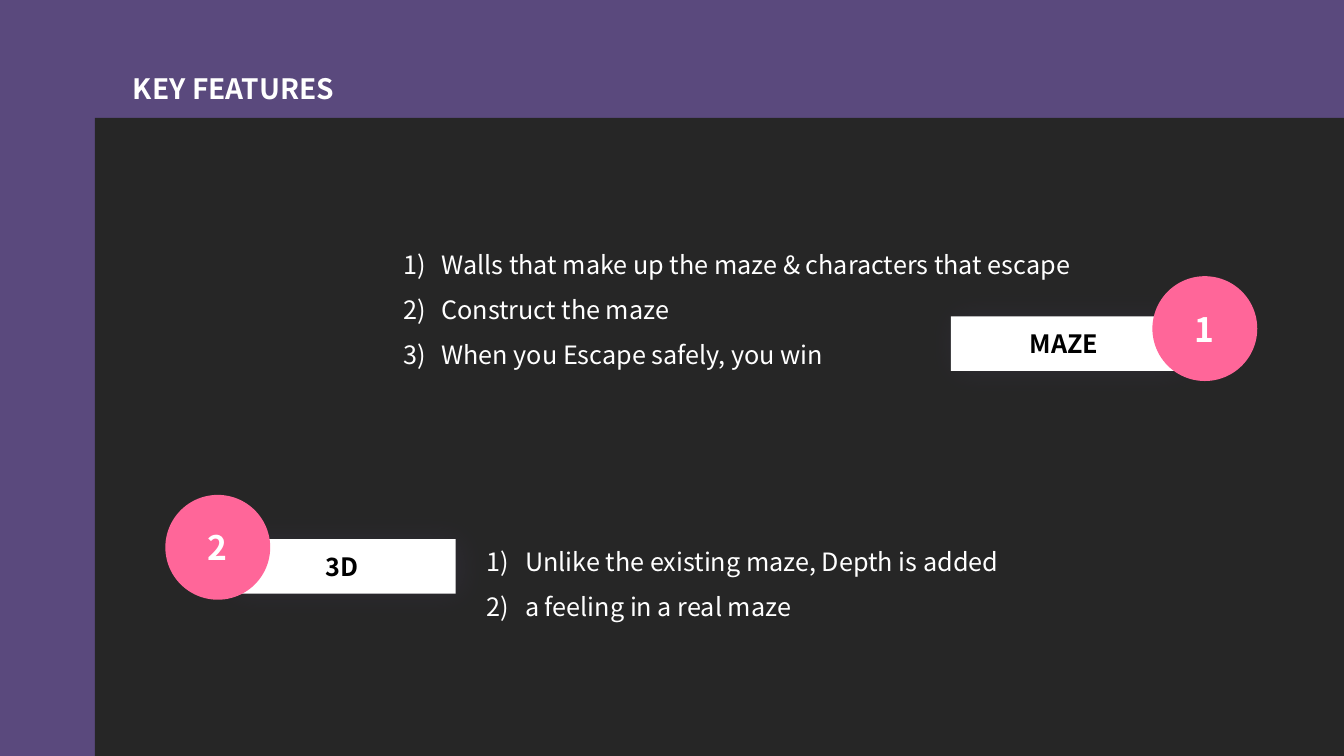
from lxml.etree import SubElement as Sub
from pptx import Presentation
from pptx.dml.color import RGBColor as Rgb
from pptx.enum.shapes import MSO_SHAPE as Kind
from pptx.enum.text import MSO_ANCHOR as Anchor, MSO_AUTO_SIZE as Auto, PP_ALIGN as Align
from pptx.oxml.ns import qn
from pptx.util import Inches, Pt

WIDE, HIGH = 13.33, 7.5
FACE = "Noto Sans CJK KR"
PURPLE, DARK, PINK, WHITE, BLACK = "5A497D", "262626", "FF6699", "FFFFFF", "000000"
DISC, TAG = 1.04, (2.25, 0.54)
FEATURES = [
    dict(spot=(1.64, 4.91), num="2", name="3D", tag=(0.63, 0.44), notes=(3.09, 0.31, 6.03, 0.96),
         items=["Unlike the existing maze, Depth is added", "a feeling in a real maze"]),
    dict(spot=(11.43, 2.74), num="1", name="MAZE", tag=(-2, 0.4), notes=(-7.53, -0.47, 7.59, 1.42),
         items=["Walls that make up the maze & characters that escape",
                "Construct the maze", "When you Escape safely, you win"]),
]


def paint(fill, tone):
    """Give a fill one solid colour."""
    fill.solid()
    fill.fore_color.rgb = Rgb.from_string(tone)


def write(para, text, size, tone, bold=False):
    """Add one styled run to a paragraph."""
    run = para.add_run()
    run.text = text
    look = dict(name=FACE, size=Pt(size), bold=bold)
    for key, value in look.items():
        setattr(run.font, key, value)
    run.font.color.rgb = Rgb.from_string(tone)


def block(slide, kind, box, tone):
    """Draw a plain shape without line or shadow."""
    shape = slide.shapes.add_shape(kind, *map(Inches, box))
    shape.shadow.inherit = False
    shape.line.fill.background()
    paint(shape.fill, tone)
    return shape


def badge(slide, kind, box, tone, text, size, ink):
    """Draw a shape with centred bold text."""
    shape = block(slide, kind, box, tone)
    frame = shape.text_frame
    frame.vertical_anchor = Anchor.MIDDLE
    frame.paragraphs[0].alignment = Align.CENTER
    write(frame.paragraphs[0], text, size, ink, True)
    return shape


def glow(shape):
    """Add a faint soft purple shadow."""
    effects = shape._element.spPr.find(qn("a:effectLst"))
    shade = Sub(effects, qn("a:outerShdw"), blurRad=str(Pt(23)), dist=str(Pt(3)), dir="0")
    tint = Sub(shade, qn("a:srgbClr"), val=PURPLE)
    Sub(tint, qn("a:alpha"), val="17000")


def words(slide, box, lines, size, bold=False, count=False):
    """Place white lines of text, numbered on request."""
    frame = slide.shapes.add_textbox(*map(Inches, box)).text_frame
    frame.word_wrap = True
    frame.auto_size = Auto.SHAPE_TO_FIT_TEXT
    for i, line in enumerate(lines):
        para = frame.add_paragraph() if i else frame.paragraphs[0]
        para.line_spacing = 1.5
        if count:
            props = para._p.get_or_add_pPr()
            props.set("marL", str(Inches(0.38)))
            props.set("indent", str(Inches(-0.38)))
            Sub(props, qn("a:buFont"), typeface="+mj-lt")
            Sub(props, qn("a:buAutoNum"), type="arabicParenR")
        write(para, line, size, WHITE, bold)


def feature(slide, spot, num, name, tag, notes, items):
    """Place a label and numbered list around a disc."""
    x, y = spot
    label = (x + tag[0], y + tag[1], *TAG)
    glow(badge(slide, Kind.RECTANGLE, label, WHITE, name, 18, BLACK))
    badge(slide, Kind.OVAL, (x, y, DISC, DISC), PINK, num, 24, WHITE)
    dx, dy, w, h = notes
    words(slide, (x + dx, y + dy, w, h), items, 18, count=True)


def stage(slide, left, top):
    """Lay the purple ground, dark panel and title."""
    paint(slide.background.fill, PURPLE)
    block(slide, Kind.RECTANGLE, (left, top, WIDE - left, HIGH - top), DARK)
    words(slide, (left + 0.28, top - 0.68, 4.6, 0.55), ["KEY FEATURES"], 20, bold=True)


def main():
    """Build and save the slide."""
    deck = Presentation()
    deck.slide_width, deck.slide_height = Inches(WIDE), Inches(HIGH)
    slide = deck.slides.add_slide(deck.slide_layouts[6])
    stage(slide, 0.94, 1.17)
    for part in FEATURES:
        feature(slide, **part)
    deck.save("out.pptx")


if __name__ == "__main__":
    main()
